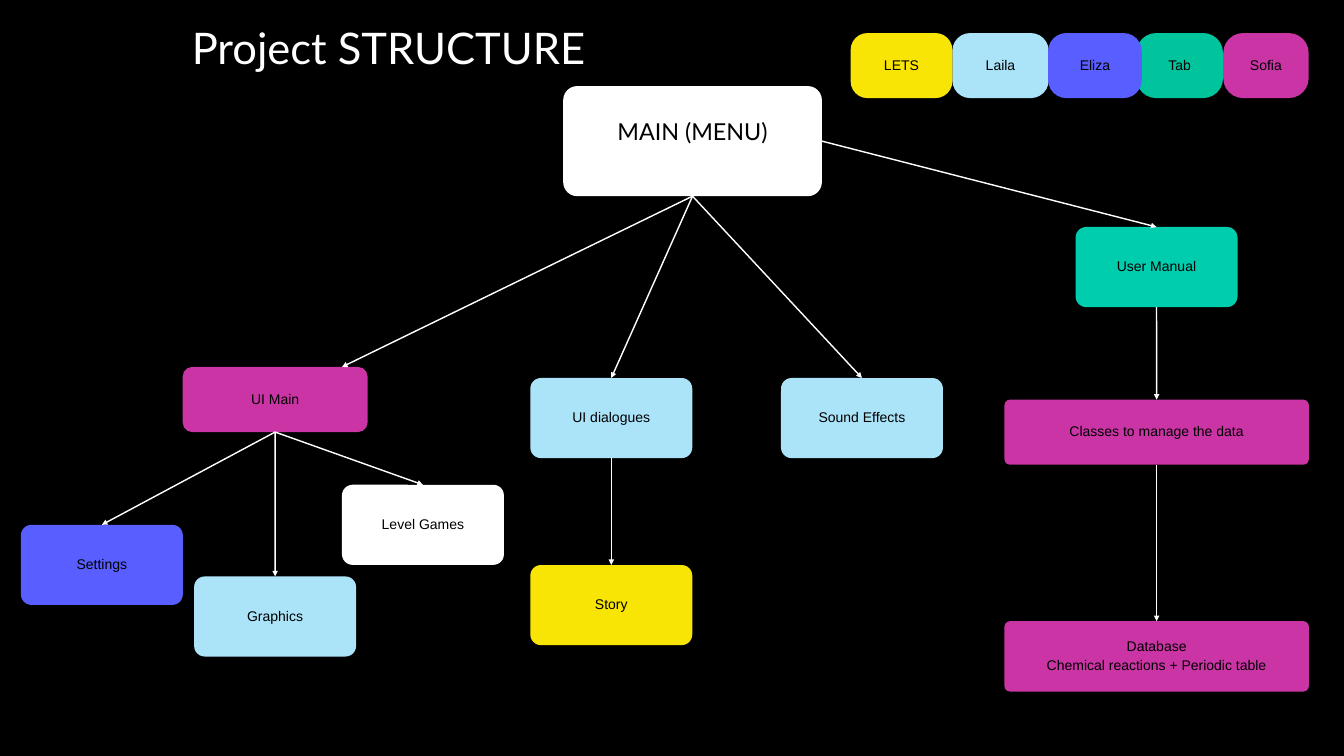
from dataclasses import dataclass
from lxml.etree import SubElement
from pptx import Presentation
from pptx.dml.color import RGBColor
from pptx.enum.shapes import MSO_CONNECTOR, MSO_SHAPE
from pptx.enum.text import MSO_ANCHOR, MSO_AUTO_SIZE, PP_ALIGN
from pptx.oxml.ns import qn
from pptx.util import Pt


@dataclass
class Theme:
    black: str = "000000"
    white: str = "FFFFFF"
    yellow: str = "F8E505"
    sky: str = "ABE3F9"
    violet: str = "585EFF"
    green: str = "00C49C"
    teal: str = "00CCAE"
    magenta: str = "CB34A5"
    title: float = 46.6
    main: float = 25
    label: float = 15
    heading_font: str = "Lato"
    label_font: str = "Arial"


theme = Theme()


def write(tf, text, size, font, color, spacing, anchor=MSO_ANCHOR.MIDDLE, bottom=0):
    """Fill a text frame with centred lines in one format."""
    tf.word_wrap = True
    tf.auto_size = MSO_AUTO_SIZE.NONE
    tf.vertical_anchor = anchor
    tf.margin_left = tf.margin_right = tf.margin_top = 0
    tf.margin_bottom = Pt(bottom)
    for i, line in enumerate(text.split("\n")):
        p = tf.paragraphs[0] if i == 0 else tf.add_paragraph()
        p.alignment = PP_ALIGN.CENTER
        p.line_spacing = Pt(spacing)
        p.space_before = p.space_after = Pt(0)
        r = p.add_run()
        r.text = line
        r.font.size, r.font.name = Pt(size), font
        r.font.color.rgb = RGBColor.from_string(color)


prs = Presentation()
prs.slide_width, prs.slide_height = Pt(1440), Pt(810)
s = prs.slides.add_slide(prs.slide_layouts[5])
s.background.fill.solid()
s.background.fill.fore_color.rgb = RGBColor.from_string(theme.black)

# Title
title = s.shapes.title
title.left, title.top, title.width, title.height = Pt(52.6), Pt(22.3), Pt(727.2), Pt(59)
write(title.text_frame, "Project STRUCTURE", size=theme.title, font=theme.heading_font,
      color=theme.white, spacing=55.9, anchor=MSO_ANCHOR.TOP)

# Modules of the project and the legend of authors: text, left, top, width, height, fill
MODULE = (173.5, 85.8)
WIDE = 326.2
LEGEND_TOP, BAR = 35.4, 69.7
boxes = [
    ("MAIN (MENU)", 603.4, 92.2, 277.2, 118, theme.white),
    ("UI Main", 195.8, 393.2, 198, BAR, theme.magenta),
    ("Graphics", 208, 617.6, *MODULE, theme.sky),
    ("Database\nChemical reactions + Periodic table", 1076.2, 665.5, WIDE, 75.5, theme.magenta),
    ("UI dialogues", 568.2, 405, *MODULE, theme.sky),
    ("Sound Effects", 836.8, 405, *MODULE, theme.sky),
    ("Classes to manage the data", 1076.2, 428.2, WIDE, BAR, theme.magenta),
    ("User Manual", 1152.4, 243.2, *MODULE, theme.teal),
    ("Story", 568.2, 605.4, *MODULE, theme.yellow),
    ("Settings", 22.4, 562.3, *MODULE, theme.violet),
    ("Level Games", 366.4, 519.4, *MODULE, theme.white),
    ("Tab", 1217.6, LEGEND_TOP, 92.8, BAR, theme.green),
    ("Laila", 1020.4, LEGEND_TOP, 103.2, BAR, theme.sky),
    ("Eliza", 1123, LEGEND_TOP, 100.4, BAR, theme.violet),
    ("Sofia", 1310.6, LEGEND_TOP, 91.6, BAR, theme.magenta),
    ("LETS", 911.4, LEGEND_TOP, 109, BAR, theme.yellow),
]
shapes = {}
for text, left, top, width, height, fill in boxes:
    is_main = text == "MAIN (MENU)"
    sp = s.shapes.add_shape(MSO_SHAPE.ROUNDED_RECTANGLE, Pt(left), Pt(top), Pt(width), Pt(height))
    sp.shadow.inherit = False
    sp.fill.solid()
    sp.fill.fore_color.rgb = RGBColor.from_string(fill)
    sp.line.fill.background()
    # Wider boxes have tighter corners
    radius = (4180 if is_main else 1960) / width
    sp.adjustments[0] = radius / min(width, height)
    write(sp.text_frame, text, size=theme.main if is_main else theme.label,
          font=theme.heading_font if is_main else theme.label_font,
          color=theme.black, spacing=35 if is_main else 21, bottom=26 if is_main else 4.8)
    shapes[text.split("\n")[0]] = sp

# Arrows from each module to the ones below it
TOP, BOTTOM, RIGHT = 0, 2, 3
arrows = [
    ("MAIN (MENU)", BOTTOM, "UI Main"),
    ("MAIN (MENU)", BOTTOM, "UI dialogues"),
    ("MAIN (MENU)", BOTTOM, "Sound Effects"),
    ("MAIN (MENU)", RIGHT, "User Manual"),
    ("UI Main", BOTTOM, "Settings"),
    ("UI Main", BOTTOM, "Graphics"),
    ("UI Main", BOTTOM, "Level Games"),
    ("UI dialogues", BOTTOM, "Story"),
    ("User Manual", BOTTOM, "Classes to manage the data"),
    ("Classes to manage the data", BOTTOM, "Database"),
]
for parent, side, child in arrows:
    # The arrow to UI Main lands right of its centre, so its end stays free
    arrow = s.shapes.add_connector(MSO_CONNECTOR.STRAIGHT, 0, 0, Pt(366.4), Pt(393.2))
    arrow.begin_connect(shapes[parent], side)
    if child != "UI Main":
        arrow.end_connect(shapes[child], TOP)
    arrow.line.width = Pt(1.5)
    arrow.line.color.rgb = RGBColor.from_string(theme.white)
    SubElement(arrow.line._get_or_add_ln(), qn("a:tailEnd"), type="triangle")
    SubElement(arrow._element.spPr, qn("a:effectLst"))

prs.save("out.pptx")
